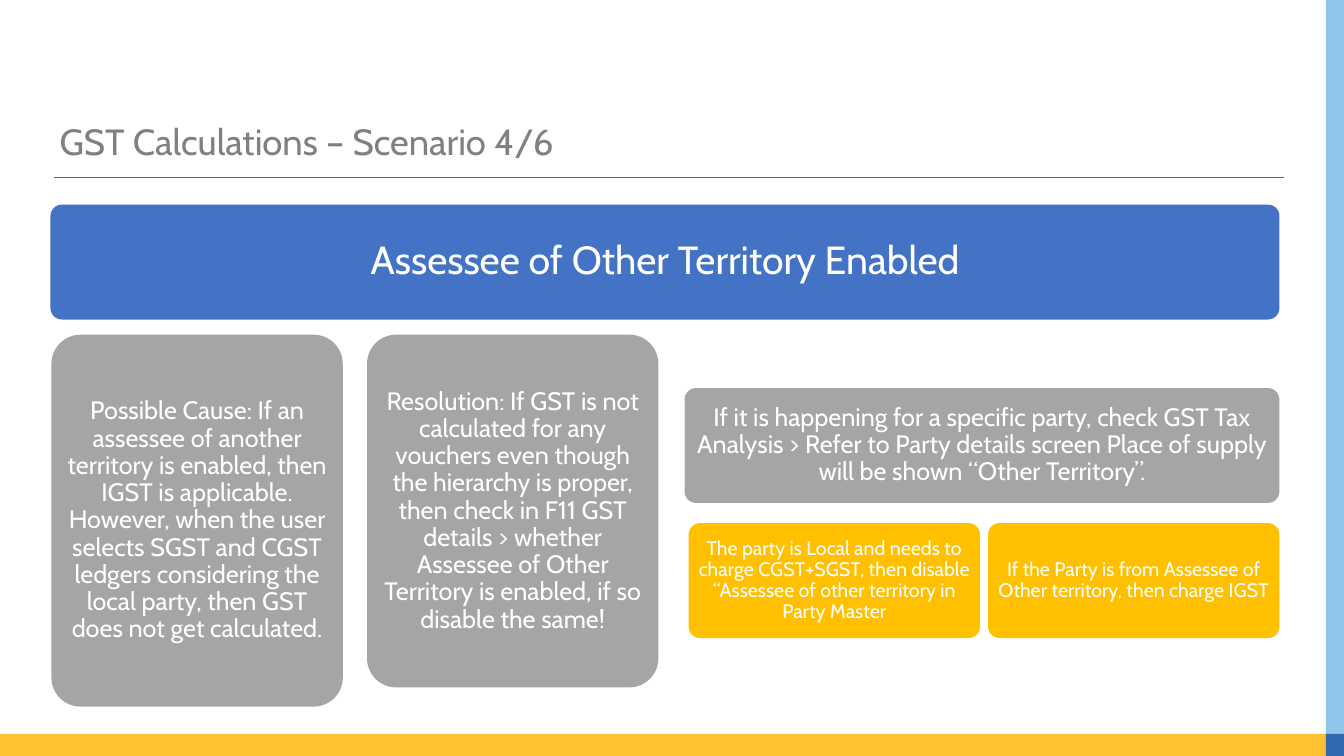
from lxml import etree
from pptx import Presentation
from pptx.dml.color import RGBColor
from pptx.enum.shapes import MSO_CONNECTOR, MSO_SHAPE
from pptx.enum.text import MSO_ANCHOR, PP_ALIGN
from pptx.oxml.ns import qn
from pptx.util import Inches, Pt

RECT = MSO_SHAPE.RECTANGLE
ROUND = MSO_SHAPE.ROUNDED_RECTANGLE
STRAIGHT = MSO_CONNECTOR.STRAIGHT
MIDDLE = MSO_ANCHOR.MIDDLE
CENTER, LEFT = PP_ALIGN.CENTER, PP_ALIGN.LEFT

FONT = "Cabin"
WIDE, HIGH = 13.33, 7.5
HUES = {
    "amber": "FFC031", "sky": "90C4E9", "navy": "2F69B0",
    "title": "808080", "blue": "4472C4", "grey": "A5A5A5",
    "gold": "FFC000", "white": "FFFFFF",
}

HEAD = "Assessee of Other Territory Enabled"
CAUSE = ("Possible Cause: If an assessee of another territory is enabled, "
         "then IGST is applicable. However, when the user selects SGST and "
         "CGST ledgers considering the local party, then GST does not get "
         "calculated.")
REMEDY = ("Resolution: If GST is not calculated for any vouchers even though "
          "the hierarchy is proper, then check in F11 GST details > whether "
          "Assessee of Other Territory is enabled, if so disable the same!")
PARTY = ("If it is happening for a specific party, check GST Tax Analysis > "
         "Refer to Party details screen Place of supply will be shown "
         "“Other Territory”.")
LOCAL = ("The party is Local and needs to charge CGST+SGST, then disable "
         "“Assessee of other territory in Party Master")
OTHER = ("If the Party is from Assessee of Other territory, "
         "then charge IGST")


def color(name):
    return RGBColor.from_string(HUES[name])


def block(slide, kind, box, hue):
    """Plain filled shape without line or shadow."""
    shape = slide.shapes.add_shape(kind, *map(Inches, box))
    shape.shadow.inherit = False
    shape.fill.solid()
    shape.fill.fore_color.rgb = color(hue)
    shape.line.fill.background()
    return shape


def write(frame, text, size, hue, align, pad):
    """One paragraph, centred vertically, with a (side, top) pad."""
    frame.word_wrap = True
    frame.vertical_anchor = MIDDLE
    frame.margin_left = frame.margin_right = Inches(pad[0])
    frame.margin_top = frame.margin_bottom = Inches(pad[1])
    para = frame.paragraphs[0]
    para.alignment = align
    para.line_spacing = 0.9
    para.space_before = Pt(0)
    run = para.add_run()
    run.text = text
    run.font.name = FONT
    run.font.size = Pt(size)
    run.font.color.rgb = color(hue)


def card(slide, box, hue, text, size, pad):
    shape = block(slide, ROUND, box, hue)
    shape.adjustments[0] = 0.1
    write(shape.text_frame, text, size, "white", CENTER, (pad, pad))


def edges(slide, box):
    """Bands along the bottom and right edges, and their corner."""
    x, y, w, h = box
    band = 0.22
    side, base = x + 13.15, y + h - band
    rest = x + w - side
    block(slide, RECT, (x, base, side - x, band), "amber")
    block(slide, RECT, (side, y, rest, h - band), "sky")
    block(slide, RECT, (side, base, rest, band), "navy")


def header(slide, box):
    """Title with a rule below it."""
    x, y, w, h = box
    title = slide.shapes.title
    title.left, title.top, title.width, title.height = map(Inches, box)
    write(title.text_frame, "GST Calculations – Scenario 4/6", 26, "title",
          LEFT, (0.1, 0.05))
    start, level = x + 0.05, y + h + 0.08
    rule = slide.shapes.add_connector(
        STRAIGHT, *map(Inches, (start, level, start + w, level)))
    rule.line.color.rgb = color("navy")
    rule.line.width = Pt(0.82)
    etree.SubElement(rule._element.spPr, qn("a:effectLst"))


def tree(slide, box):
    """Heading bar, two tall cards, and a branch of three cards."""
    x, y, w, h = box
    bar, col = 1.14, 2.89
    end = x + w
    card(slide, (x, y, w, bar), "blue", HEAD, 28, 0.12)

    top = y + 1.29
    for left, tall, text in ((x + 0.01, h - 1.29, CAUSE),
                             (x + 3.14, h - 1.48, REMEDY)):
        card(slide, (left, top, col, tall), "grey", text, 18, 0.07)

    wide = 5.9
    card(slide, (end - wide, y + 1.82, wide, bar), "grey", PARTY, 18, 0.07)
    for i, text in enumerate((OTHER, LOCAL)):
        left = end - col - i * (col + 0.08)
        card(slide, (left, y + 3.16, col, bar), "gold", text, 14, 0.06)


def main():
    deck = Presentation()
    deck.slide_width, deck.slide_height = Inches(WIDE), Inches(HIGH)
    slide = deck.slides.add_slide(deck.slide_layouts[5])
    edges(slide, (0, 0, WIDE, HIGH))
    header(slide, (0.49, 1.18, 12.2, 0.5))
    tree(slide, (0.5, 2.03, 12.19, 4.98))
    deck.save("out.pptx")


if __name__ == "__main__":
    main()
